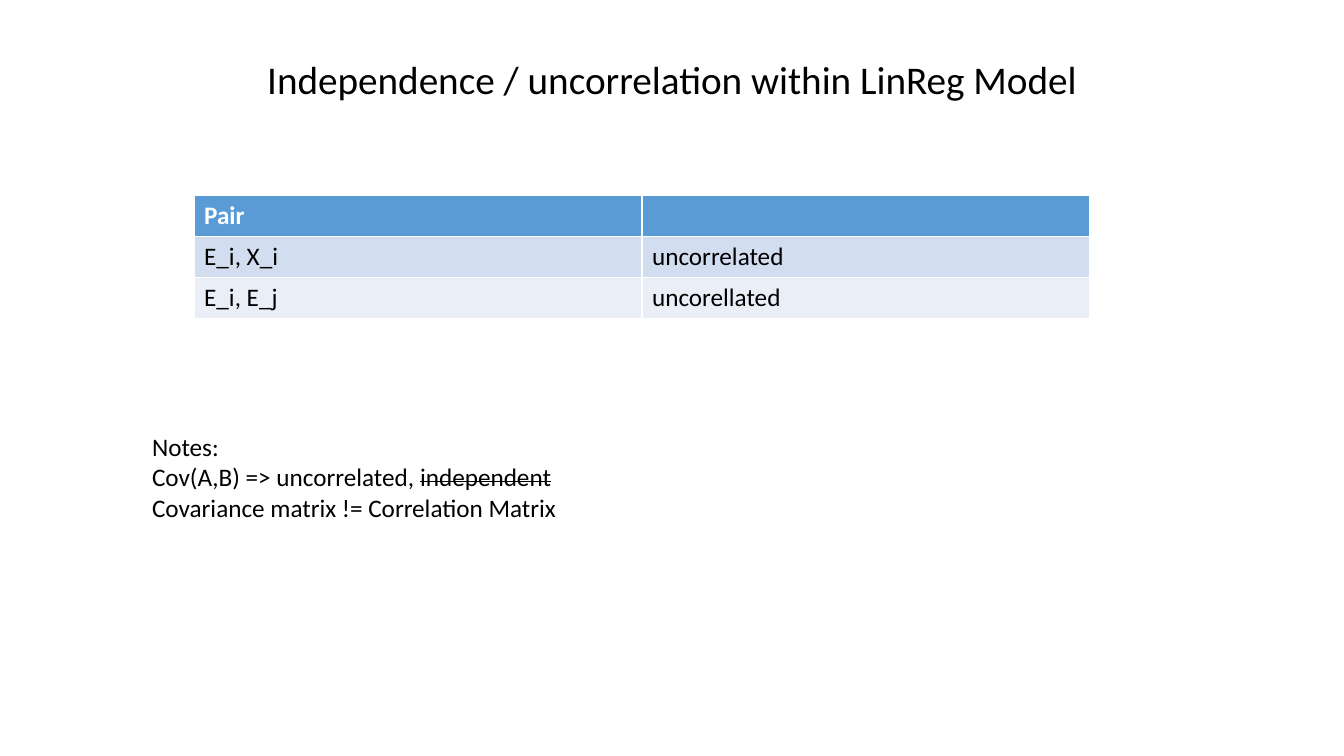
from pptx import Presentation
from pptx.dml.color import RGBColor
from pptx.enum import text
from pptx.util import Pt


def style(font, size, color, bold=False):
    font.name, font.size, font.bold = "Calibri", Pt(size), bold
    font.color.rgb = RGBColor.from_string(color)


deck = Presentation()
deck.slide_width, deck.slide_height = Pt(960), Pt(540)
page = deck.slides.add_slide(deck.slide_layouts[6])

# Title, raised one line above the bottom of its box
box = page.shapes.add_textbox(Pt(120), Pt(14.4), Pt(720), Pt(93.6))
frame = box.text_frame
frame.word_wrap = True
frame.vertical_anchor = text.MSO_ANCHOR.BOTTOM
frame.margin_bottom = Pt(34.4)
para = frame.paragraphs[0]
para.text = "Independence / uncorrelation within LinReg Model"
para.alignment = text.PP_ALIGN.CENTER
para.line_spacing = 0.9
style(para.font, 28, "000000")

# Table of pairs; the default table style draws the white borders
rows = [
    (("Pair", ""), "5B9BD5"),
    (("E_i, X_i", "uncorrelated"), "D2DEEF"),
    (("E_i, E_j", "uncorellated"), "EAEFF7"),
]
table = page.shapes.add_table(
    len(rows), 2, Pt(138.6), Pt(139.9), Pt(640), Pt(87.6)).table
for r, (words, fill) in enumerate(rows):
    for c, word in enumerate(words):
        cell = table.cell(r, c)
        cell.fill.solid()
        cell.fill.fore_color.rgb = RGBColor.from_string(fill)
        para = cell.text_frame.paragraphs[0]
        para.text = word
        style(para.font, 18, "FFFFFF" if r == 0 else "000000", r == 0)

# Notes, with one word struck through
notes = ["Notes:", "Cov(A,B) => uncorrelated, ", "Covariance matrix != Correlation Matrix"]
box = page.shapes.add_textbox(Pt(101.5), Pt(304.6), Pt(756.7), Pt(72.7))
frame = box.text_frame
frame.word_wrap = True
frame.text = "\n".join(notes)
for para in frame.paragraphs:
    style(para.font, 18, "000000")
span = frame.paragraphs[1].add_run()
span.text = "independent"
span.font._element.set("strike", "sngStrike")

deck.save("out.pptx")
